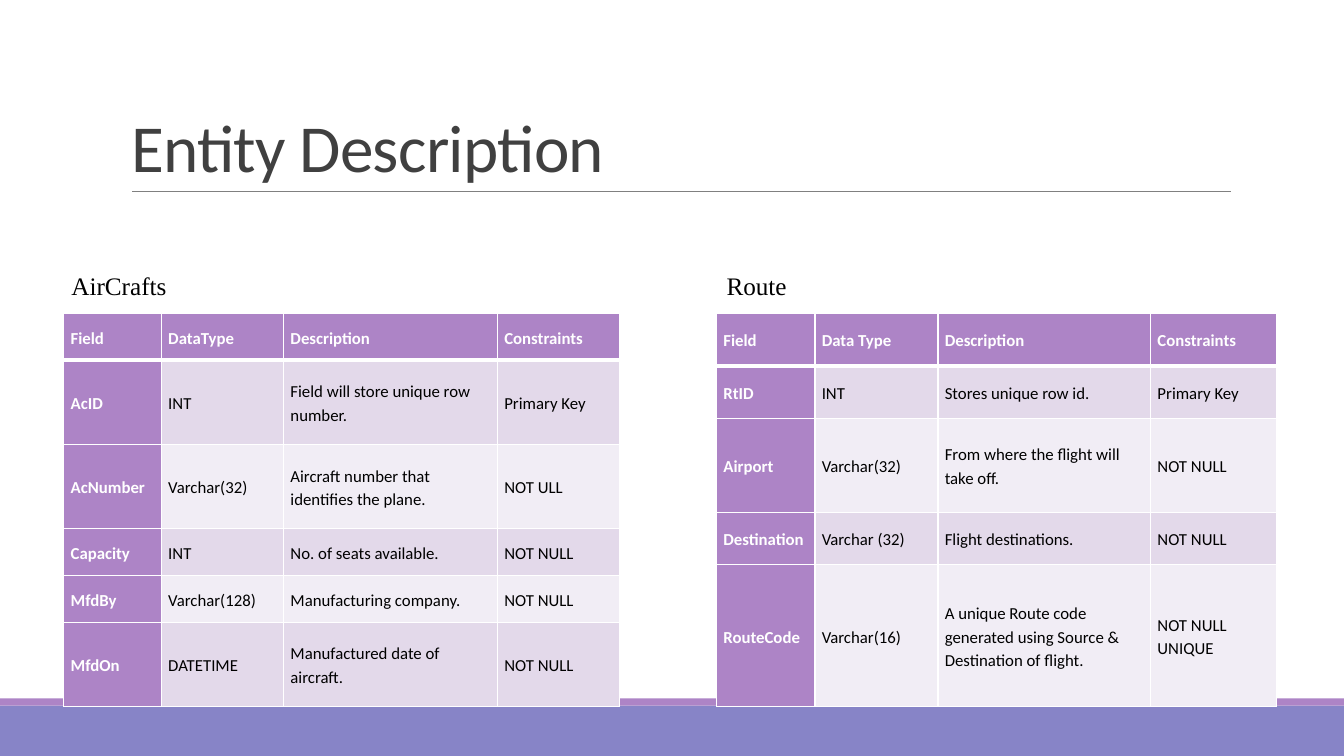
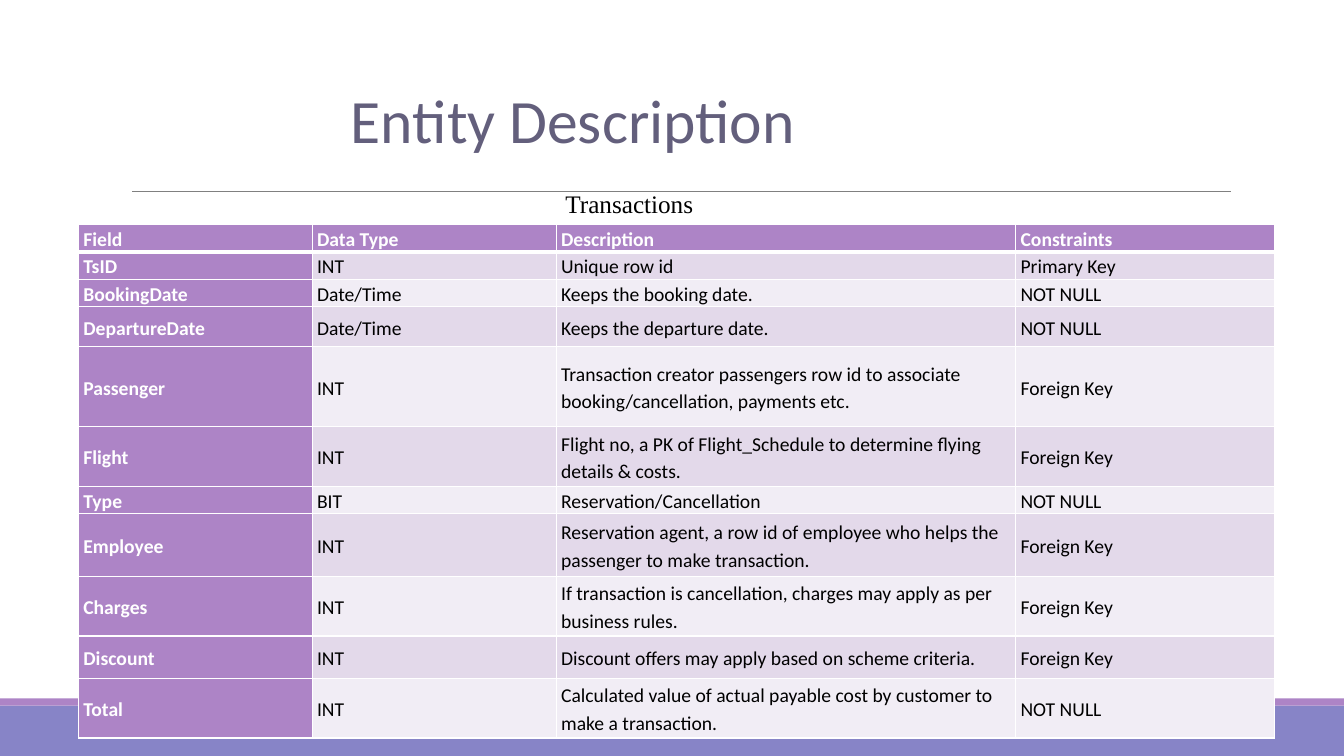
from lxml.etree import SubElement
from pptx import Presentation
from pptx.dml.color import RGBColor
from pptx.enum.shapes import MSO_CONNECTOR, MSO_SHAPE
from pptx.enum.text import MSO_ANCHOR as ANCHOR, MSO_AUTO_SIZE as AUTO, PP_ALIGN
from pptx.oxml.ns import qn
from pptx.util import Cm, Pt

WHITE, BLACK, RULE_GREY = "FFFFFF", "000000", "808080"
PURPLE, INDIGO = "AD84C6", "8784C7"
STRIPES = ["E3D9EA", "F1EDF5"]
HEADING = "Entity Description"


def paint(color_format, hex_color):
    color_format.rgb = RGBColor.from_string(hex_color)


def format_text(frame, font_name, size, color, bold=False, spacing=None):
    for paragraph in frame.paragraphs:
        paragraph.line_spacing = spacing
        for run in paragraph.runs:
            run.font.name, run.font.size, run.font.bold = font_name, Pt(size), bold
            paint(run.font.color, color)


# Content of each slide: heading style, then its entity tables
slides = [
    {
        "heading": dict(box=(3.05, 0.79, 27.94, 4.04), anchor=ANCHOR.BOTTOM,
                        size=48, color="404040", spacing=0.85, tracking="-50"),
        "entities": [
            dict(name="AirCrafts", label=(1.55, 6.68, 2.95), at=(1.6, 7.9),
                 size=12, inset=0.18,
                 columns=[2.46, 3.08, 5.39, 3.08],
                 heights=[1.18, 2.12, 2.12, 1.18, 1.18, 2.12],
                 rows=[
                     ("Field", "DataType", "Description", "Constraints"),
                     ("AcID", "INT", "Field will store unique row number.", "Primary Key"),
                     ("AcNumber", "Varchar(32)",
                      "Aircraft number that identifies the plane.", "NOT ULL"),
                     ("Capacity", "INT", "No. of seats available.", "NOT NULL"),
                     ("MfdBy", "Varchar(128)", "Manufacturing company.", "NOT NULL"),
                     ("MfdOn", "DATETIME", "Manufactured date of aircraft.", "NOT NULL"),
                 ]),
            dict(name="Route", label=(18.06, 6.68, 2.06), at=(18.06, 7.9),
                 size=12, inset=0.17,
                 columns=[2.48, 3.1, 5.36, 3.17],
                 heights=[1.32, 1.32, 2.37, 1.32, 3.58],
                 rows=[
                     ("Field", "Data Type", "Description", "Constraints"),
                     ("RtID", "INT", "Stores unique row id.", "Primary Key"),
                     ("Airport", "Varchar(32)",
                      "From where the flight will take off.", "NOT NULL"),
                     ("Destination", "Varchar (32)", "Flight destinations.", "NOT NULL"),
                     ("RouteCode", "Varchar(16)",
                      "A unique Route code generated using Source & Destination of flight.",
                      "NOT NULL\nUNIQUE"),
                 ]),
        ],
    },
    {
        "heading": dict(box=(8.59, 2.01, 24.36, 4.34), anchor=ANCHOR.TOP,
                        size=44, color="635F7C", spacing=0.99, tracking="0"),
        "entities": [
            dict(name="Transactions", label=(14, 4.62, 3.76), at=(1.98, 5.65),
                 size=14, inset=0.12,
                 columns=[5.89, 6.15, 11.58, 6.52],
                 heights=[0.67, 0.67, 0.67, 1.01, 2.01, 1.51, 0.67, 1.57, 1.51, 1.06, 1.51],
                 rows=[
                     ("Field", "Data Type", "Description", "Constraints"),
                     ("TsID", "INT", "Unique row id", "Primary Key"),
                     ("BookingDate", "Date/Time", "Keeps the booking date.", "NOT NULL"),
                     ("DepartureDate", "Date/Time", "Keeps the departure date.", "NOT NULL"),
                     ("Passenger", "INT",
                      "Transaction creator passengers row id to associate "
                      "booking/cancellation, payments etc.", "Foreign Key"),
                     ("Flight", "INT",
                      "Flight no, a PK of Flight_Schedule to determine flying "
                      "details & costs.", "Foreign Key"),
                     ("Type", "BIT", "Reservation/Cancellation", "NOT NULL"),
                     ("Employee", "INT",
                      "Reservation agent, a row id of employee who helps the "
                      "passenger to make transaction.", "Foreign Key"),
                     ("Charges", "INT",
                      "If transaction is cancellation, charges may apply as per "
                      "business rules.", "Foreign Key"),
                     ("Discount", "INT",
                      "Discount offers may apply based on scheme criteria.", "Foreign Key"),
                     ("Total", "INT",
                      "Calculated value of actual payable cost by customer to "
                      "make a transaction.", "NOT NULL"),
                 ]),
        ],
    },
]

deck = Presentation()
deck.slide_width, deck.slide_height = Cm(33.87), Cm(19.05)
layout = deck.slide_layouts[5]

for number, content in enumerate(slides):
    slide = deck.slides.add_slide(layout)

    # Footer bands and title rule, drawn once and moved to the shared layout
    if number == 0:
        for top, height, color in [(17.78, 1.27, INDIGO), (17.6, 0.18, PURPLE)]:
            band = slide.shapes.add_shape(
                MSO_SHAPE.RECTANGLE, 0, Cm(top), deck.slide_width, Cm(height))
            band.shadow.inherit = False
            band.fill.solid()
            paint(band.fill.fore_color, color)
            band.line.fill.background()
            layout.shapes.element.append(band.element)
        rule = slide.shapes.add_connector(
            MSO_CONNECTOR.STRAIGHT, Cm(3.33), Cm(4.83), Cm(31.01), Cm(4.83))
        paint(rule.line.color, RULE_GREY)
        rule.line.width = Pt(0.5)
        SubElement(rule.element.spPr, qn("a:effectLst"))
        layout.shapes.element.append(rule.element)

    # Heading
    style = content["heading"]
    heading = slide.shapes.title
    heading.left, heading.top, heading.width, heading.height = map(Cm, style["box"])
    frame = heading.text_frame
    frame.text = HEADING
    frame.word_wrap, frame.auto_size = True, AUTO.NONE
    frame.vertical_anchor = style["anchor"]
    frame.paragraphs[0].alignment = PP_ALIGN.LEFT
    format_text(frame, "Calibri", style["size"], style["color"], spacing=style["spacing"])
    frame.paragraphs[0].runs[0].font._element.set("spc", style["tracking"])

    for entity in content["entities"]:
        # Field table
        rows, columns, heights = entity["rows"], entity["columns"], entity["heights"]
        left, top = entity["at"]
        fields = slide.shapes.add_table(
            len(rows), len(columns), Cm(left), Cm(top),
            Cm(sum(columns)), Cm(sum(heights))).table
        fields.first_col = True
        for column, width in zip(fields.columns, columns):
            column.width = Cm(width)
        for r, values in enumerate(rows):
            fields.rows[r].height = Cm(heights[r])
            for c, value in enumerate(values):
                cell = fields.cell(r, c)
                is_key = r == 0 or c == 0
                cell.text_frame.text = value
                cell.vertical_anchor = ANCHOR.MIDDLE
                cell.margin_left = cell.margin_right = Cm(entity["inset"])
                cell.margin_top = cell.margin_bottom = 0
                format_text(cell.text_frame, "Calibri", entity["size"],
                            WHITE if is_key else BLACK, is_key, 1.15)
                # White borders, thicker under the header row
                sides = ["L", "R", "B"] if r == 1 else ["L", "R", "T", "B"]
                for side in sides:
                    points = 3 if r == 0 and side == "B" else 1
                    border = SubElement(cell._tc.get_or_add_tcPr(), qn("a:ln" + side),
                                        w=str(Pt(points)))
                    SubElement(SubElement(border, qn("a:solidFill")),
                               qn("a:srgbClr"), val=WHITE)
                cell.fill.solid()
                paint(cell.fill.fore_color, PURPLE if is_key else STRIPES[(r - 1) % 2])

        # Entity name
        left, top, width = entity["label"]
        label = slide.shapes.add_textbox(Cm(left), Cm(top), Cm(width), Cm(1.02)).text_frame
        label.text = entity["name"]
        label.word_wrap, label.auto_size = False, AUTO.SHAPE_TO_FIT_TEXT
        format_text(label, "Times New Roman", 18, BLACK)

deck.save("out.pptx")
